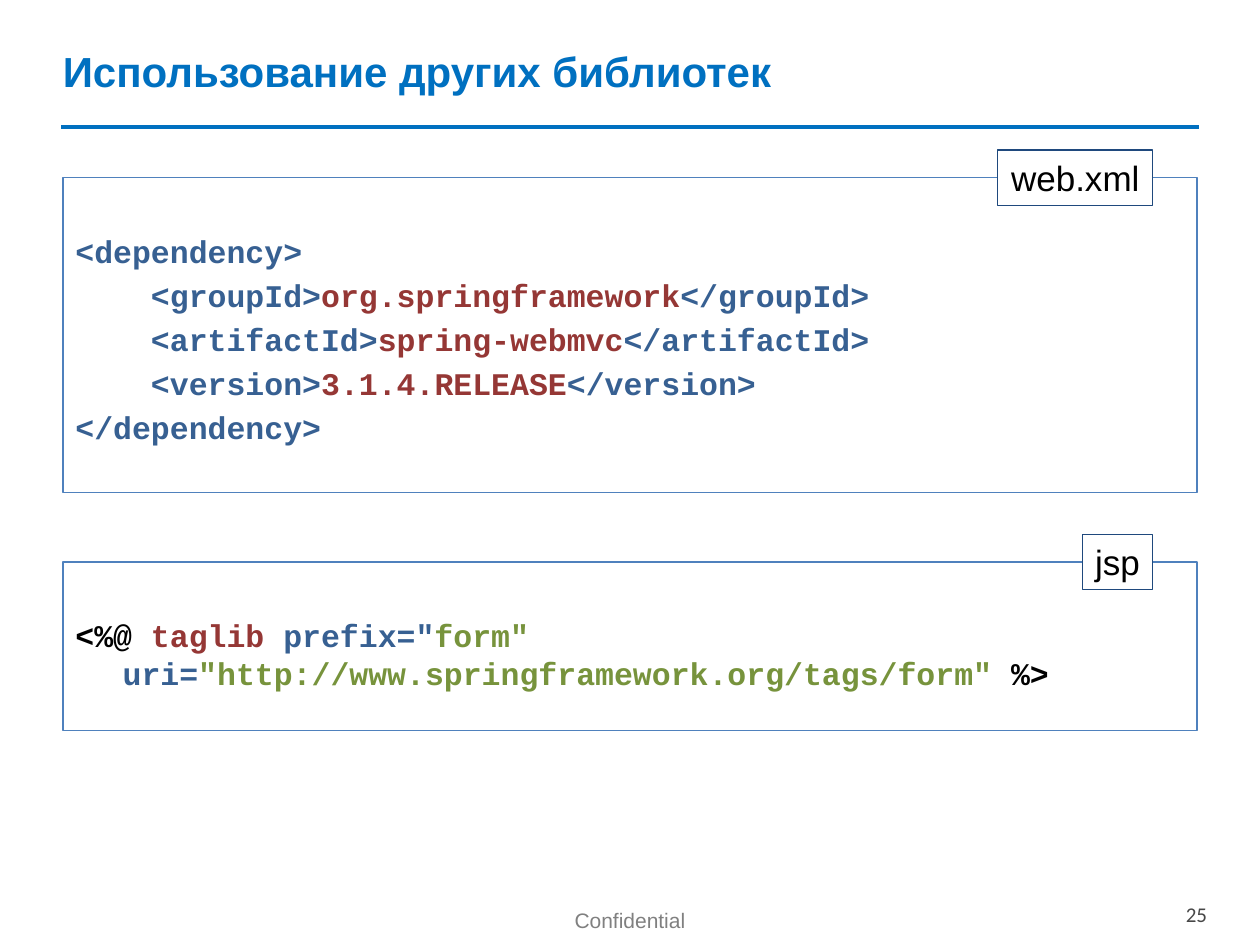
import pptx
import pptx.util
import pptx.dml.color
import pptx.enum.shapes
import pptx.enum.text
import pptx.oxml.ns
import lxml.etree

Pt = pptx.util.Pt
ALIGN = pptx.enum.text.PP_ALIGN
ANCHOR = pptx.enum.text.MSO_ANCHOR
HUES = {
    "title": "0070C0", "frame": "4F81BD", "edge": "1F497D", "white": "FFFFFF",
    "tag": "376092", "value": "953735", "text": "77933C", "black": "000000",
    "foot": "808080", "page": "474747",
}

FIELDS = [
    ("groupId", "org.springframework"),
    ("artifactId", "spring-webmvc"),
    ("version", "3.1.4.RELEASE"),
]
POM = [(0, 0, [("<dependency>", "tag")])]
POM += [
    (43.2, 0, [(f"<{name}>", "tag"), (value, "value"), (f"</{name}>", "tag")])
    for name, value in FIELDS
]
POM += [(0, 0, [("</dependency>", "tag")])]
JSP = [(27, -27, [
    ("<%@ ", "black"), ("taglib ", "value"), ('prefix="', "tag"),
    ('form" ', "text"), ("uri=", "tag"),
    ('"http://www.springframework.org/tags/form" ', "text"), ("%>", "black"),
])]

LEFT, WIDE, TAB_END, TAB_HIGH = 36, 648, 658.8, 31.7
PANELS = [
    ("web.xml", 88.6, 101.5, 180, POM),
    ("jsp", 40.4, 321.1, 96.5, JSP),
]
LABELS = [
    ("Использование других библиотек", (28.8, 1.4, 668.9, 77.8),
     {"size": Pt(24), "name": "Arial", "bold": True}, "title",
     {"vertical_anchor": ANCHOR.MIDDLE}, ALIGN.LEFT),
    ("Confidential", (283.7, 513.4, 152.6, 28),
     {"size": Pt(12), "name": "Arial"}, "foot",
     {"margin_top": Pt(5)}, ALIGN.CENTER),
    ("25", (632.9, 511.2, 79.2, 19.4),
     {"size": Pt(12), "name": "Calibri"}, "page",
     {"margin_top": Pt(4), "margin_right": Pt(22.3)}, ALIGN.RIGHT),
]
CODE = {"size": Pt(18), "name": "Courier New", "bold": True}
TAB = {"size": Pt(20), "name": "Arial"}


def put(thing, vals):
    for key, val in vals.items():
        setattr(thing, key, val)


def hue(name):
    return pptx.dml.color.RGBColor.from_string(HUES[name])


def write(para, text, font, tone):
    run = para.add_run()
    run.text = text
    put(run.font, font)
    run.font.color.rgb = hue(tone)


def box(shapes, spot, edge, fill=None):
    kind = pptx.enum.shapes.MSO_SHAPE.RECTANGLE
    shape = shapes.add_shape(kind, *map(Pt, spot))
    shape.shadow.inherit = False
    if fill:
        shape.fill.solid()
        shape.fill.fore_color.rgb = hue(fill)
    else:
        shape.fill.background()
    shape.line.color.rgb = hue(edge)
    shape.line.width = Pt(0.75)
    return shape.text_frame


def panel(shapes, name, width, top, high, lines):
    frame = box(shapes, (LEFT, top, WIDE, high), "frame")
    put(frame, {"word_wrap": True, "vertical_anchor": ANCHOR.TOP,
                "margin_top": Pt(30.9)})
    for i, (left, first, parts) in enumerate(lines):
        para = frame.add_paragraph() if i else frame.paragraphs[0]
        put(para, {"alignment": ALIGN.LEFT, "line_spacing": Pt(21.6),
                   "space_after": Pt(3.6)})
        props = para._p.get_or_add_pPr()
        props.set("marL", str(Pt(left)))
        props.set("indent", str(Pt(first)))
        for text, tone in parts:
            write(para, text, CODE, tone)
    spot = (TAB_END - width, top - TAB_HIGH / 2, width, TAB_HIGH)
    frame = box(shapes, spot, "edge", "white")
    put(frame, {"word_wrap": False, "vertical_anchor": ANCHOR.MIDDLE})
    frame.paragraphs[0].alignment = ALIGN.CENTER
    write(frame.paragraphs[0], name, TAB, "black")


def main():
    deck = pptx.Presentation()
    put(deck, {"slide_width": Pt(720), "slide_height": Pt(540)})
    shapes = deck.slides.add_slide(deck.slide_layouts[6]).shapes

    kind = pptx.enum.shapes.MSO_CONNECTOR.STRAIGHT
    ends = (LEFT - 1, 72.7, LEFT + WIDE + 1, 72.7)
    rule = shapes.add_connector(kind, *map(Pt, ends))
    rule.line.color.rgb = hue("title")
    rule.line.width = Pt(2.25)
    lxml.etree.SubElement(rule._element.spPr, pptx.oxml.ns.qn("a:effectLst"))

    for text, spot, font, tone, form, align in LABELS:
        frame = shapes.add_textbox(*map(Pt, spot)).text_frame
        put(frame, {"word_wrap": True, **form})
        frame.paragraphs[0].alignment = align
        write(frame.paragraphs[0], text, font, tone)

    for item in PANELS:
        panel(shapes, *item)
    deck.save("out.pptx")


if __name__ == "__main__":
    main()
